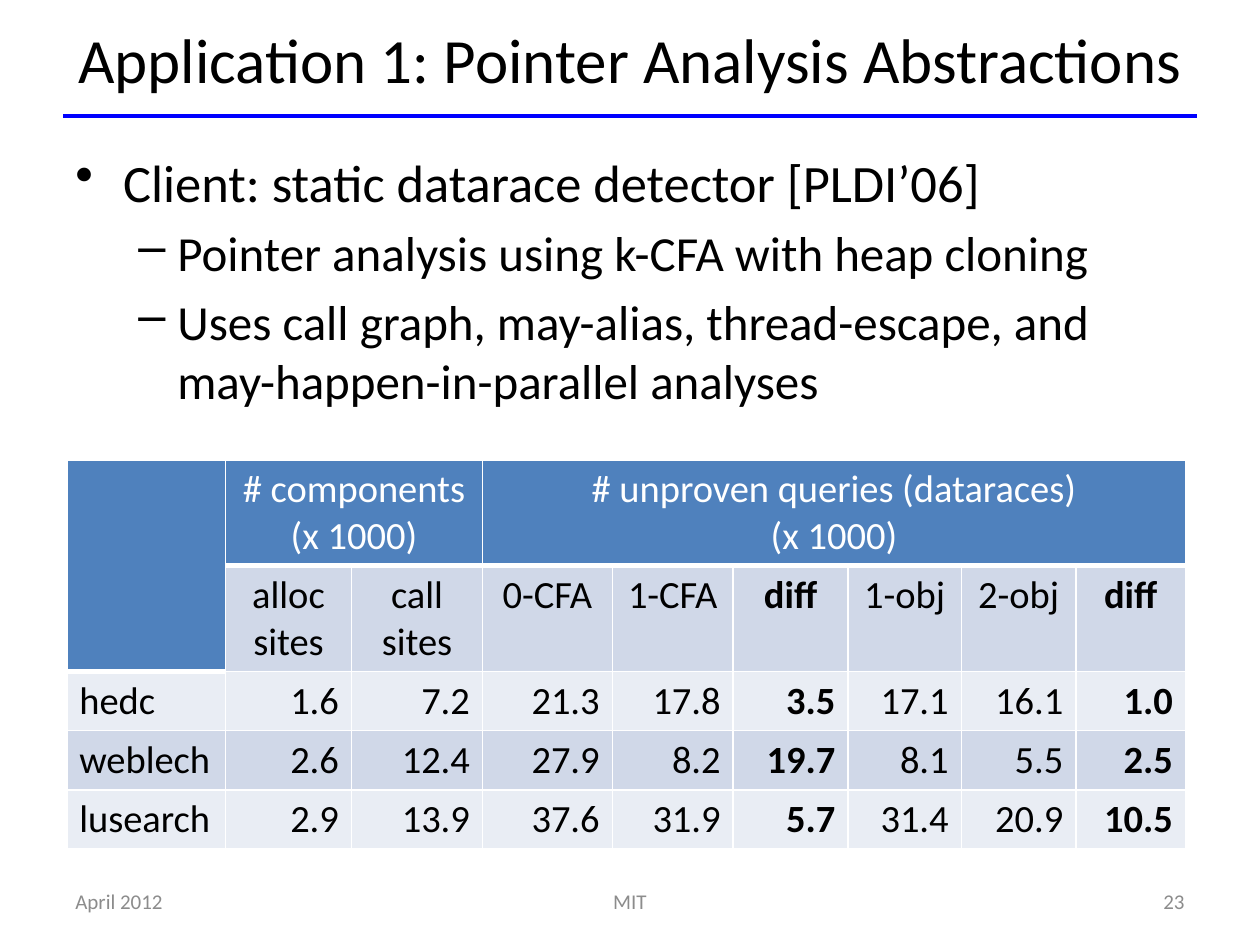
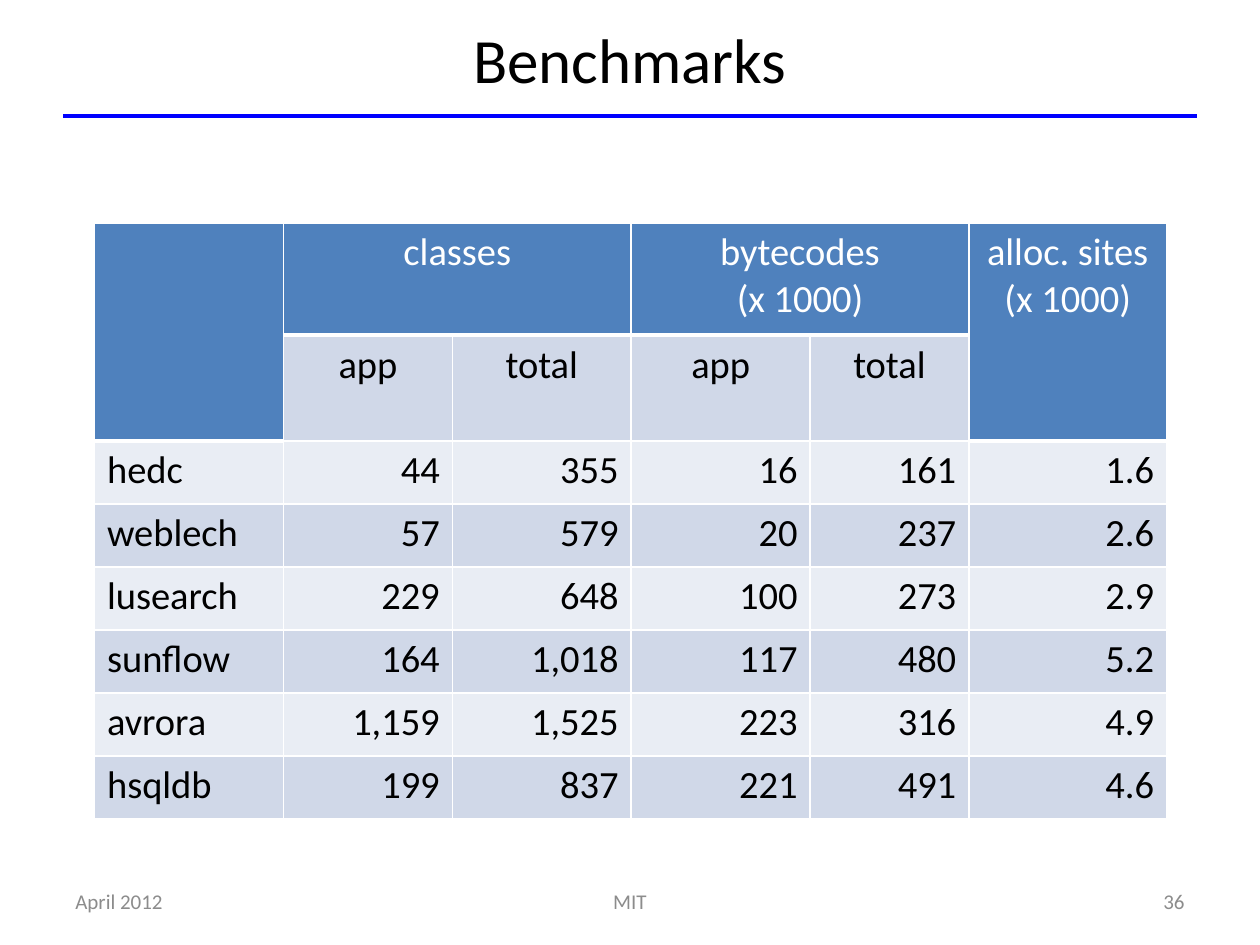
from lxml import etree
from pptx import Presentation
from pptx.dml.color import RGBColor
from pptx.enum import shapes, text
from pptx.oxml import ns
from pptx.util import Inches, Pt

FONT = "Calibri"
BLACK = RGBColor(0x00, 0x00, 0x00)
WHITE = RGBColor(0xFF, 0xFF, 0xFF)
RULE_BLUE = RGBColor(0x00, 0x00, 0xFF)
FOOTER_GRAY = RGBColor(0x8C, 0x8C, 0x8C)
HEADER_BLUE = RGBColor(0x4F, 0x81, 0xBD)
BAND_DARK = RGBColor(0xD0, 0xD8, 0xE8)
BAND_LIGHT = RGBColor(0xE9, 0xED, 0xF4)

LEFT, CENTER, RIGHT = text.PP_ALIGN.LEFT, text.PP_ALIGN.CENTER, text.PP_ALIGN.RIGHT
THIN, THICK = Pt(1), Pt(3)
HEADER_ROWS = 2
BULLET_LEVELS = [("•", 30, 0.38, -0.38), ("–", 28, 0.81, -0.31)]


def style_para(para, size, color, align=LEFT, bold=False):
    para.alignment = align
    para.font.name = FONT
    para.font.size = Pt(size)
    para.font.color.rgb = color
    para.font.bold = bold


def add_text_box(page, box, anchor=text.MSO_ANCHOR.MIDDLE):
    frame = page.shapes.add_textbox(*map(Inches, box)).text_frame
    frame.word_wrap = True
    frame.vertical_anchor = anchor
    return frame


def add_label(page, box, words, size, color, align):
    para = add_text_box(page, box).paragraphs[0]
    para.text = words
    style_para(para, size, color, align)


def add_title(page, box, words):
    left, top, width, height = box
    add_label(page, box, words, 36, BLACK, CENTER)
    bottom = Inches(top + height)
    rule = page.shapes.add_connector(
        shapes.MSO_CONNECTOR.STRAIGHT, Inches(left), bottom, Inches(left + width), bottom)
    rule.line.color.rgb = RULE_BLUE
    rule.line.width = Pt(2.25)
    etree.SubElement(rule._element.spPr, ns.qn("a:effectLst"))


def add_footer(page, box, number):
    left, top, width, height = box
    side, middle = 2.33, 3.17
    parts = [
        ("April 2012", 0, side, LEFT),
        ("MIT", (width - middle) / 2, middle, CENTER),
        (str(number), width - side, side, RIGHT),
    ]
    for words, offset, part_width, align in parts:
        add_label(page, (left + offset, top, part_width, height),
                  words, 12, FOOTER_GRAY, align)


def add_bullets(page, box, items):
    frame = add_text_box(page, box, text.MSO_ANCHOR.TOP)
    for index, (level, words) in enumerate(items):
        para = frame.add_paragraph() if index else frame.paragraphs[0]
        mark, size, margin, indent = BULLET_LEVELS[level]
        para.text = words
        para.level = level
        para.space_before = Pt(size * 0.2)
        style_para(para, size, BLACK)
        props = para._p.get_or_add_pPr()
        props.set("marL", str(Inches(margin)))
        props.set("indent", str(Inches(indent)))
        bullet = etree.Element(ns.qn("a:buChar"), char=mark)
        props.find(ns.qn("a:defRPr")).addprevious(bullet)


def set_borders(cell, top, bottom):
    props = cell._tc.get_or_add_tcPr()
    for side, width in (("L", THIN), ("R", THIN), ("T", top), ("B", bottom)):
        line = etree.SubElement(props, ns.qn(f"a:ln{side}"), w=str(width))
        fill = etree.SubElement(line, ns.qn("a:solidFill"))
        etree.SubElement(fill, ns.qn("a:srgbClr"), val=str(WHITE))


def add_data_table(page, box, widths, heights, rows, merges, bold_columns=()):
    grid = page.shapes.add_table(len(rows), len(widths), *map(Inches, box)).table
    for column, width in zip(grid.columns, widths):
        column.width = Inches(width)
    for row, height in zip(grid.rows, heights):
        row.height = Inches(height)
    tall_columns = set()
    for first, last in merges:
        grid.cell(*first).merge(grid.cell(*last))
        if last[0] > first[0]:
            tall_columns.add(first[1])

    for r, values in enumerate(rows):
        for c, value in enumerate(values):
            cell = grid.cell(r, c)
            header_end = 1 if c in tall_columns else 0
            in_header = r <= header_end
            set_borders(cell, THICK if r == header_end + 1 else THIN,
                        THICK if r == header_end else THIN)
            cell.fill.solid()
            if in_header:
                cell.fill.fore_color.rgb = HEADER_BLUE
            else:
                cell.fill.fore_color.rgb = BAND_DARK if r % 2 else BAND_LIGHT
            if r < HEADER_ROWS:
                align = CENTER
            else:
                align = RIGHT if c else LEFT
            para = cell.text_frame.paragraphs[0]
            para.text = value
            style_para(para, 22, WHITE if in_header else BLACK, align,
                       r > 0 and c in bold_columns)


def start_page(deck, title, number):
    page = deck.slides.add_slide(deck.slide_layouts[6])
    add_title(page, (0.5, 0, 9, 0.92), title)
    add_footer(page, (0.5, 6.95, 9, 0.4), number)
    return page


def build_pointer_analysis(deck):
    page = start_page(deck, "Application 1: Pointer Analysis Abstractions", 23)
    add_bullets(page, (0.5, 1.14, 9, 5.4), [
        (0, "Client: static datarace detector [PLDI’06]"),
        (1, "Pointer analysis using k-CFA with heap cloning"),
        (1, "Uses call graph, may-alias, thread-escape, and "
            "may-happen-in-parallel analyses"),
    ])
    rows = [
        ["", "# components\v(x 1000)", "",
         "# unproven queries (dataraces)\v(x 1000)", "", "", "", "", ""],
        ["", "alloc sites", "call sites", "0-CFA", "1-CFA", "diff", "1-obj", "2-obj", "diff"],
        ["hedc", "1.6", "7.2", "21.3", "17.8", "3.5", "17.1", "16.1", "1.0"],
        ["weblech", "2.6", "12.4", "27.9", "8.2", "19.7", "8.1", "5.5", "2.5"],
        ["lusearch", "2.9", "13.9", "37.6", "31.9", "5.7", "31.4", "20.9", "10.5"],
    ]
    add_data_table(
        page, (0.53, 3.65, 8.88, 3.09),
        [1.26, 1, 1.04, 1.03, 0.96, 0.91, 0.9, 0.91, 0.87],
        [0.84] * HEADER_ROWS + [0.47] * 3, rows,
        [((0, 0), (1, 0)), ((0, 1), (0, 2)), ((0, 3), (0, 8))],
        bold_columns=(5, 8))


def build_benchmarks(deck):
    page = start_page(deck, "Benchmarks", 36)
    rows = [
        ["", "classes", "", "bytecodes\v(x 1000)", "", "alloc. sites\v(x 1000)"],
        ["", "app", "total", "app", "total", ""],
        ["hedc", "44", "355", "16", "161", "1.6"],
        ["weblech", "57", "579", "20", "237", "2.6"],
        ["lusearch", "229", "648", "100", "273", "2.9"],
        ["sunflow", "164", "1,018", "117", "480", "5.2"],
        ["avrora", "1,159", "1,525", "223", "316", "4.9"],
        ["hsqldb", "199", "837", "221", "491", "4.6"],
    ]
    add_data_table(
        page, (0.75, 1.77, 8.5, 4.75),
        [1.5, 1.34, 1.42, 1.42, 1.26, 1.57],
        [0.89, 0.84] + [0.5] * 6, rows,
        [((0, 0), (1, 0)), ((0, 1), (0, 2)), ((0, 3), (0, 4)), ((0, 5), (1, 5))])


def main():
    deck = Presentation()
    deck.slide_width, deck.slide_height = Inches(10), Inches(7.5)
    build_pointer_analysis(deck)
    build_benchmarks(deck)
    deck.save("out.pptx")


if __name__ == "__main__":
    main()
